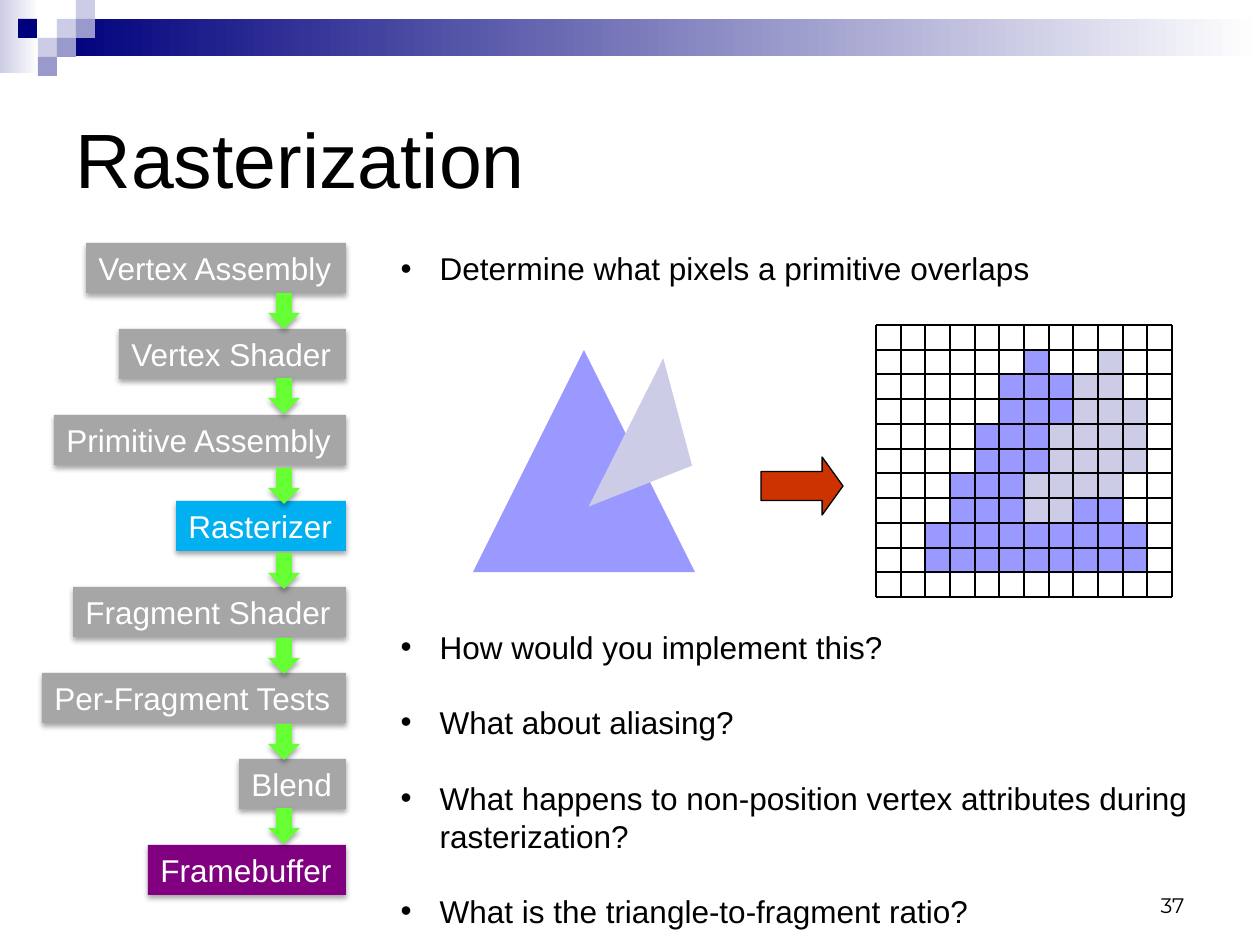
"""Build the Rasterization slide."""
from lxml import etree
from pptx import Presentation
from pptx import util as u
from pptx.dml.color import RGBColor
from pptx.enum import shapes, text
from pptx.oxml.ns import qn

SCALE = 914400 / 126
KIND = shapes.MSO_SHAPE
BLACK, WHITE, GREY, GREEN = "000000", "FFFFFF", "A6A6A6", "66FF33"
BLUE, PALE, NAVY, MAUVE = "9999FF", "CCCCE6", "00007D", "9999CC"

SIDE = 19
SQUARES = [(57, 19, PALE), (76, 0, PALE), (76, 19, MAUVE), (38, 38, PALE),
           (18, 19, NAVY), (57, 38, MAUVE), (38, 57, MAUVE)]

STAGE_RIGHT, STAGE_TOP, STAGE_STEP, STAGE_HIGH = 346, 243, 86, 50
STAGES = [("Vertex Assembly", 260, GREY), ("Vertex Shader", 227, GREY),
          ("Primitive Assembly", 292, GREY), ("Rasterizer", 170, "00B0F0"),
          ("Fragment Shader", 273, GREY), ("Per-Fragment Tests", 304, GREY),
          ("Blend", 107, GREY), ("Framebuffer", 198, "800080")]
ARROW_TOPS = [293, 378, 468, 553, 638, 724, 808]

FIRST_GAP, NEXT_GAP = 194.5, 21.6
POINTS = [("Determine what pixels a primitive overlaps", 0),
          ("How would you implement this?", FIRST_GAP),
          ("What about aliasing?", NEXT_GAP),
          ("What happens to non-position vertex attributes during rasterization?", NEXT_GAP),
          ("What is the triangle-to-fragment ratio?", NEXT_GAP)]

GRID_LEFT, GRID_TOP, GRID_WIDE, GRID_HIGH = 876, 325, 296, 272
INKS = {"B": BLUE, "P": PALE}
PIXELS = ["............",
          "......B..P..",
          ".....BBBPP..",
          ".....BBBPPP.",
          "....BBBPPPP.",
          "....BBBPPPP.",
          "...BBBPPPP..",
          "...BBBPPBB..",
          "..BBBBBBBBB.",
          "..BBBBBBBBB.",
          "............"]


def px(*nums):
    """Turn pixels into EMU."""
    return [u.Emu(round(n * SCALE)) for n in nums]


def rgb(code):
    """Turn a hex string into a colour."""
    return RGBColor.from_string(code)


def style(para, size, code, face="Arial"):
    """Format the runs of a paragraph."""
    for run in para.runs:
        run.font.size = u.Pt(size)
        run.font.name = face
        run.font.color.rgb = rgb(code)


def place(item, *box):
    """Move an item to a pixel box."""
    item.left, item.top, item.width, item.height = px(*box)


def shape(slide, kind, box, fill):
    """Add a preset shape with a flat fill and no line."""
    item = slide.shapes.add_shape(kind, *px(*box))
    item.shadow.inherit = False
    item.fill.solid()
    item.fill.fore_color.rgb = rgb(fill)
    item.line.fill.background()
    return item


def stroke(item):
    """Give a shape or connector a thin black line."""
    item.line.color.rgb = rgb(BLACK)
    item.line.width = u.Pt(0.75)


def shade(item):
    """Give a shape a soft shadow below."""
    effects = item._element.spPr.find(qn("a:effectLst"))
    outer = etree.SubElement(effects, qn("a:outerShdw"), blurRad=str(u.Pt(3.1)),
                             dist=str(u.Pt(1.8)), dir="5400000", rotWithShape="0")
    tint = etree.SubElement(outer, qn("a:srgbClr"), val=BLACK)
    etree.SubElement(tint, qn("a:alpha"), val="35000")


def fade(slide, box, start):
    """Add a bar that fades to white."""
    fill = shape(slide, KIND.RECTANGLE, box, start).fill
    fill.gradient()
    fill.gradient_angle = 0
    for stop, spot, code in zip(fill.gradient_stops, (0, 1), (start, WHITE)):
        stop.position = spot
        stop.color.rgb = rgb(code)


def banner(slide):
    """Add the bars and squares along the top."""
    fade(slide, (0, 0, 39, 73), PALE)
    fade(slide, (57, 19, 1203, 37), NAVY)
    for left, top, fill in SQUARES:
        shape(slide, KIND.RECTANGLE, (left, top, SIDE, SIDE), fill)


def heading(slide):
    """Fill the title."""
    title = slide.shapes.title
    place(title, 63, 63, 1134, 189)
    frame = title.text_frame
    frame.text = "Rasterization"
    frame.vertical_anchor = text.MSO_ANCHOR.MIDDLE
    frame.paragraphs[0].alignment = text.PP_ALIGN.LEFT
    style(frame.paragraphs[0], 44, BLACK)


def stage(slide, top, label, width, fill):
    """Add one right-aligned box of the pipeline."""
    box = (STAGE_RIGHT - width, top, width, STAGE_HIGH)
    item = shape(slide, KIND.RECTANGLE, box, fill)
    shade(item)
    frame = item.text_frame
    frame.text = label
    frame.word_wrap = False
    frame.auto_size = text.MSO_AUTO_SIZE.SHAPE_TO_FIT_TEXT
    frame.paragraphs[0].alignment = text.PP_ALIGN.LEFT
    style(frame.paragraphs[0], 18, WHITE)


def pipeline(slide):
    """Add the stages and the arrows between them."""
    for row, (label, width, fill) in enumerate(STAGES):
        stage(slide, STAGE_TOP + STAGE_STEP * row, label, width, fill)
    for top in ARROW_TOPS:
        shade(shape(slide, KIND.DOWN_ARROW, (268, top, 32, 36), GREEN))


def bullets(slide):
    """Fill the body list."""
    body = slide.placeholders[1]
    place(body, 388, 243, 819, 695)
    frame = body.text_frame
    frame.text = "\n".join(label for label, gap in POINTS)
    frame.auto_size = text.MSO_AUTO_SIZE.NONE
    frame.vertical_anchor = text.MSO_ANCHOR.TOP
    indent = px(39)[0]
    for para, (label, gap) in zip(frame.paragraphs, POINTS):
        props = para._p.get_or_add_pPr()
        props.set("marL", str(indent))
        props.set("indent", str(-indent))
        etree.SubElement(props, qn("a:buChar"), char="•")
        para.space_before = u.Pt(gap)
        para.space_after = u.Pt(0)
        style(para, 18, BLACK)


def scene(slide):
    """Add the two triangles and the arrow to the grid."""
    shape(slide, KIND.ISOSCELES_TRIANGLE, (473, 350, 222, 222), BLUE)
    shape(slide, KIND.ISOSCELES_TRIANGLE, (576, 412, 166, 74), PALE).rotation = 116.7
    arrow = shape(slide, KIND.RIGHT_ARROW, (761, 457, 82, 58), "CC3300")
    arrow.adjustments[1] = 0.36
    stroke(arrow)


def edges(start, length, count):
    """List the evenly spaced edges of a number of cells."""
    return [start + round(length * i / count) for i in range(count + 1)]


def rule(slide, *ends):
    """Add one grid line."""
    line = slide.shapes.add_connector(shapes.MSO_CONNECTOR.STRAIGHT, *px(*ends))
    stroke(line)
    etree.SubElement(line._element.spPr, qn("a:effectLst"))


def grid(slide):
    """Colour the covered pixels and rule the grid over them."""
    lefts = edges(GRID_LEFT, GRID_WIDE, len(PIXELS[0]))
    tops = edges(GRID_TOP, GRID_HIGH, len(PIXELS))
    for top, marks in zip(tops, PIXELS):
        for left, mark in zip(lefts, marks):
            if mark in INKS:
                shape(slide, KIND.RECTANGLE, (left, top, 25, 25), INKS[mark])
    for left in lefts:
        rule(slide, left, tops[0], left, tops[-1])
    for top in tops:
        rule(slide, lefts[0], top, lefts[-1], top)


def number(slide):
    """Add the page number."""
    frame = slide.shapes.add_textbox(*px(903, 861, 294, 63)).text_frame
    frame.word_wrap = True
    frame.text = "37"
    frame.vertical_anchor = text.MSO_ANCHOR.BOTTOM
    frame.paragraphs[0].alignment = text.PP_ALIGN.RIGHT
    style(frame.paragraphs[0], 12, BLACK, "Montserrat")


def main():
    """Build and save the slide."""
    deck = Presentation()
    deck.slide_width, deck.slide_height = px(1260, 945)
    slide = deck.slides.add_slide(deck.slide_layouts[1])
    for part in (banner, heading, pipeline, bullets, scene, grid, number):
        part(slide)
    deck.save("out.pptx")


if __name__ == "__main__":
    main()
